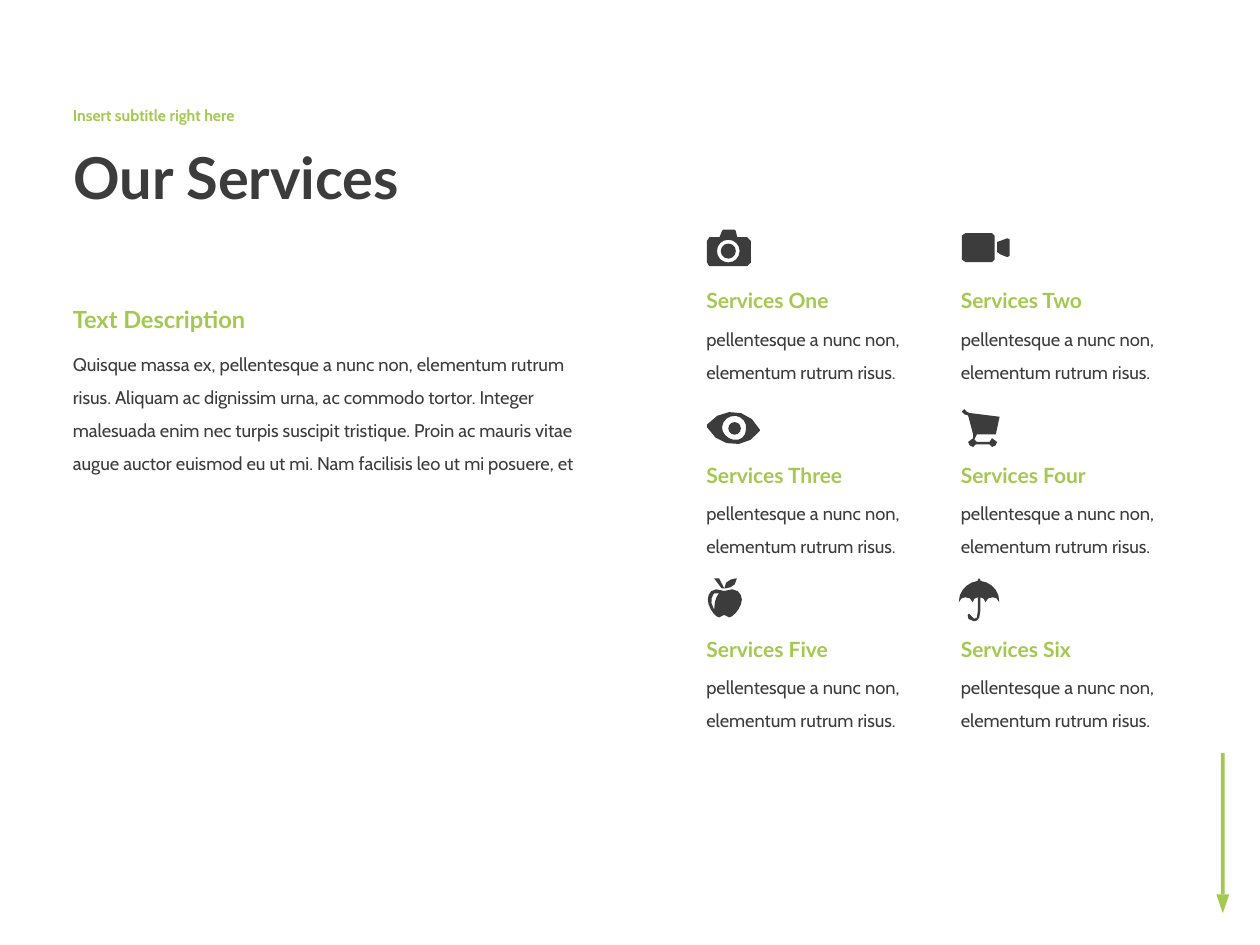
"""Build the "Our Services" slide with six icon-led service blurbs."""
import math

from pptx import Presentation
from pptx import util as u
from pptx.dml.color import RGBColor
from pptx.enum import shapes, text

GREEN = RGBColor(0xA3, 0xC9, 0x51)
DARK = RGBColor(0x3C, 0x3C, 0x3C)
ICON_UNIT = u.Cm(2.54) / 100
BLURB = "pellentesque a nunc non, elementum rutrum risus."
DESCRIPTION = (
    "Quisque massa ex, pellentesque a nunc non, elementum rutrum risus. "
    "Aliquam ac dignissim urna, ac commodo tortor. Integer malesuada enim nec "
    "turpis suscipit tristique. Proin ac mauris vitae augue auctor euismod eu "
    "ut mi. Nam facilisis leo ut mi posuere, et"
)

CAMERA = [
    "M 32 6 L 24 6 L 23 1 L 22 0 L 13 0 L 12 1 L 10 6 L 2 6 "
    "C 1 6 0 7 0 9 L 0 26 C 0 28 1 29 2 29 L 32 29 C 34 29 35 28 35 26 L 35 9 "
    "C 35 7 34 6 32 6 M 17 26 C 12 26 8 22 8 17 C 8 12 12 8 17 8 "
    "C 22 8 26 12 26 17 C 26 22 22 26 17 26"
]
VIDEO = [
    "M 24 0 L 3 0 C 1 0 0 1 0 2 L 0 21 C 0 22 1 23 3 23 L 24 23 "
    "C 25 23 26 22 26 21 L 26 2 C 26 1 25 0 24 0",
    "M 36 4 L 31 6 L 28 7 L 28 15 L 31 17 L 36 19 "
    "C 37 20 38 19 38 18 L 38 5 C 38 4 37 3 36 4",
]
EYE = [
    "M 0 15 L 0 17 C 9 34 32 35 42 20 L 42 19 C 34 2 12 0 0 15 "
    "M 21 27 C 16 26 12 22 12 17 C 13 11 17 8 23 8 C 28 9 32 13 31 19 "
    "C 31 24 27 28 21 27"
]
CART = [
    "M 24 23 C 23 23 22 24 22 26 L 12 26 C 11 25 11 24 10 24 L 12 20 L 27 20 "
    "L 30 6 L 6 3 L 4 2 C 4 1 3 0 2 0 C 1 0 0 1 0 2 C 0 3 1 4 2 4 L 5 5 L 9 20 "
    "L 9 23 C 7 23 5 25 5 26 C 5 28 7 30 9 30 C 10 30 11 29 11 28 L 22 28 "
    "C 22 29 23 30 24 30 C 26 30 28 28 28 26 C 28 25 26 23 24 23"
]
APPLE = [
    "M 13 10 C 3 6 0 12 0 17 C 0 23 6 31 9 31 C 13 31 13 29 13 29 "
    "C 13 29 13 31 17 31 C 20 31 27 23 27 17 C 27 12 23 6 13 10 "
    "M 5 25 C 0 17 5 12 5 12 L 9 12 C 9 12 5 15 5 25",
    "M 13 8 L 9 0 L 5 0 L 11 8",
    "M 23 0 C 23 0 13 0 13 8 C 13 8 23 8 23 0",
]
UMBRELLA = [
    "M 17 2 L 17 1 L 16 0 L 15 1 L 15 2 C 7 3 0 10 0 18 "
    "L 0 19 C 1 16 3 15 5 15 C 8 15 10 16 11 19 C 11 17 13 15 15 15 L 15 26 "
    "C 15 32 14 32 12 32 C 9 32 9 31 9 29 L 8 28 L 7 29 "
    "C 7 31 7 34 12 34 C 14 34 17 33 17 26 L 17 15 C 19 15 21 17 21 19 "
    "C 22 16 24 15 27 15 C 29 15 31 16 32 19 L 32 18 C 32 10 26 3 17 2"
]
SERVICES = [
    ("Services One", CAMERA, 14.25, 4.63, (11, 11, 12)),
    ("Services Two", VIDEO, 19.39, 4.7, None),
    ("Services Three", EYE, 14.25, 8.18, (17, 13, 10)),
    ("Services Four", CART, 19.39, 8.25, None),
    ("Services Five", APPLE, 14.27, 11.66, None),
    ("Services Six", UMBRELLA, 19.33, 11.66, None),
]


def add_text(words, left, top, width, height, font, size, color, spacing=1.0, middle=False):
    box = slide.shapes.add_textbox(u.Cm(left), u.Cm(top), u.Cm(width), u.Cm(height))
    frame = box.text_frame
    frame.word_wrap = True
    frame.auto_size = text.MSO_AUTO_SIZE.NONE if middle else text.MSO_AUTO_SIZE.SHAPE_TO_FIT_TEXT
    frame.vertical_anchor = text.MSO_ANCHOR.MIDDLE if middle else text.MSO_ANCHOR.TOP
    paragraph = frame.paragraphs[0]
    paragraph.text = words
    paragraph.line_spacing = spacing
    paragraph.font.name = font
    paragraph.font.size = u.Pt(size)
    paragraph.font.bold = spacing != 1.5
    paragraph.font.color.rgb = color


def flatten(outline, left, top):
    contours = []
    for command in outline.replace("M", "|M").replace("L", "|L").replace("C", "|C").split("|")[1:]:
        letter, *numbers = command.split()
        values = [float(number) * ICON_UNIT for number in numbers]
        points = [(left + x, top + y) for x, y in zip(values[::2], values[1::2])]
        if letter == "M":
            contours.append(points)
        elif letter == "L":
            contours[-1] += points
        else:
            corners = [contours[-1][-1], *points]
            span = math.dist(corners[0], corners[-1]) / ICON_UNIT
            steps = min(5, max(1, round(span / 3.5)))
            for step in range(1, steps + 1):
                t = step / steps
                weights = ((1 - t) ** 3, 3 * t * (1 - t) ** 2, 3 * t * t * (1 - t), t ** 3)
                contours[-1].append(
                    tuple(sum(w * corner[axis] for w, corner in zip(weights, corners)) for axis in (0, 1))
                )
    return contours


presentation = Presentation()
presentation.slide_width = u.Cm(25.4)
presentation.slide_height = u.Cm(19.05)
slide = presentation.slides.add_slide(presentation.slide_layouts[6])

arrow = slide.shapes.add_group_shape()
shaft = arrow.shapes.add_shape(
    shapes.MSO_SHAPE.RECTANGLE, u.Cm(24.61), u.Cm(15.18), u.Cm(0.08), u.Cm(2.85)
)
head = arrow.shapes.add_shape(
    shapes.MSO_SHAPE.ISOSCELES_TRIANGLE, u.Cm(24.52), u.Cm(18.03), u.Cm(0.26), u.Cm(0.38)
)
head.rotation = 180
for shape in (shaft, head):
    shape.shadow.inherit = False
    shape.fill.solid()
    shape.fill.fore_color.rgb = GREEN
    shape.line.fill.background()

add_text("Our Services", 1.23, 2.34, 14.3, 2.62, "Lato", 33, DARK, 0.9, True)
add_text("Insert subtitle right here", 1.22, 1.87, 14.3, 0.97, "Cabin", 9, GREEN, 0.9, True)
add_text(DESCRIPTION, 1.22, 6.78, 10.77, 2.87, "Cabin", 10.5, DARK, 1.5)
add_text("Text Description", 1.22, 6.02, 5.56, 0.84, "Lato", 13.5, GREEN)

for index, (title, outlines, icon_left, icon_top, pupil) in enumerate(SERVICES):
    row, column = divmod(index, 2)
    left = 13.99 + 5.13 * column
    top = 5.68 + 3.51 * row
    add_text(BLURB, left, top + 0.58, 4.9, 1.52, "Cabin", 10.5, DARK, 1.5)
    add_text(title, left, top, 4.11, 0.76, "Lato", 12, GREEN)

    grouped = pupil or len(outlines) > 1
    canvas = slide.shapes.add_group_shape().shapes if grouped else slide.shapes
    x, y = u.Cm(icon_left), u.Cm(icon_top)
    parts = []
    for outline in outlines:
        first, *holes = flatten(outline, x, y)
        builder = canvas.build_freeform(*first[0])
        builder.add_line_segments(first[1:], close=True)
        for hole in holes:
            builder.move_to(*hole[0])
            builder.add_line_segments(hole[1:], close=True)
        parts.append(builder.convert_to_shape())
    if pupil:
        dx, dy, diameter = (int(value * ICON_UNIT) for value in pupil)
        parts.append(canvas.add_shape(shapes.MSO_SHAPE.OVAL, x + dx, y + dy, diameter, diameter))
    for shape in parts:
        shape.shadow.inherit = False
        shape.fill.solid()
        shape.fill.fore_color.rgb = DARK
        shape.line.fill.background()

presentation.save("out.pptx")
